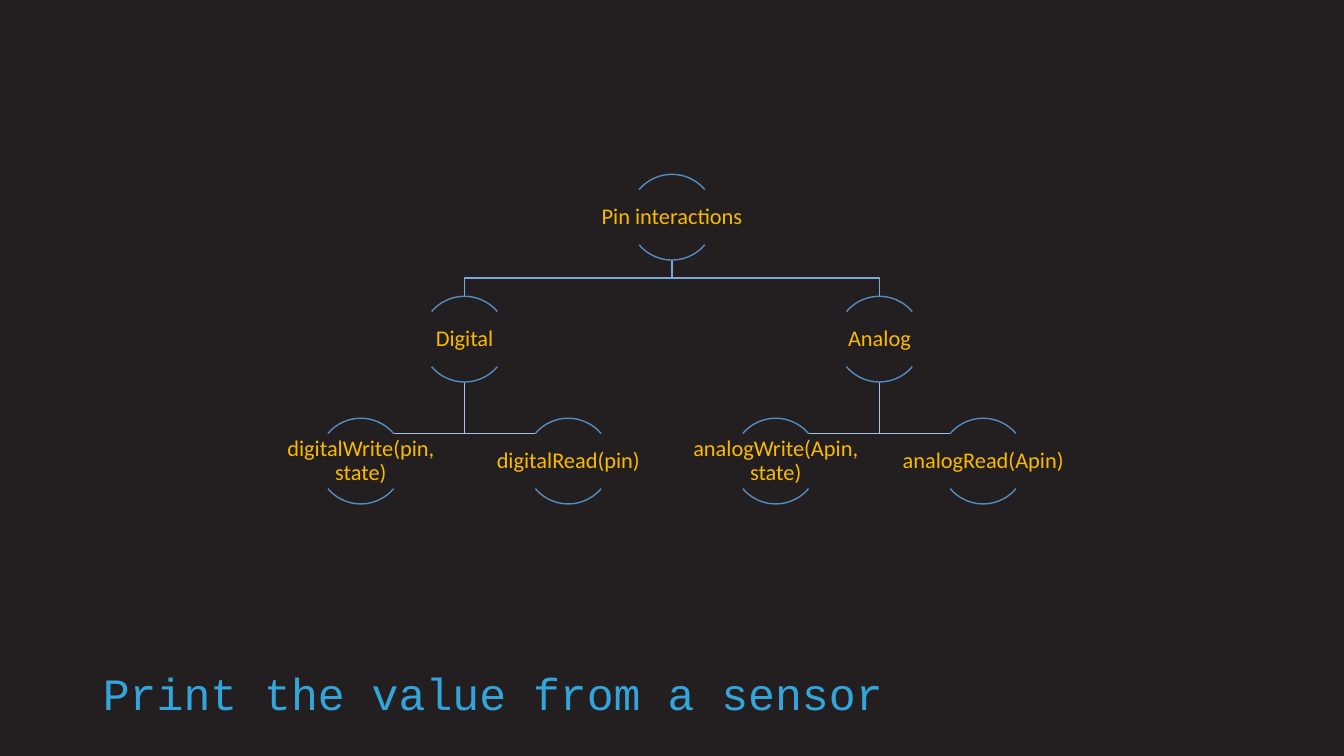
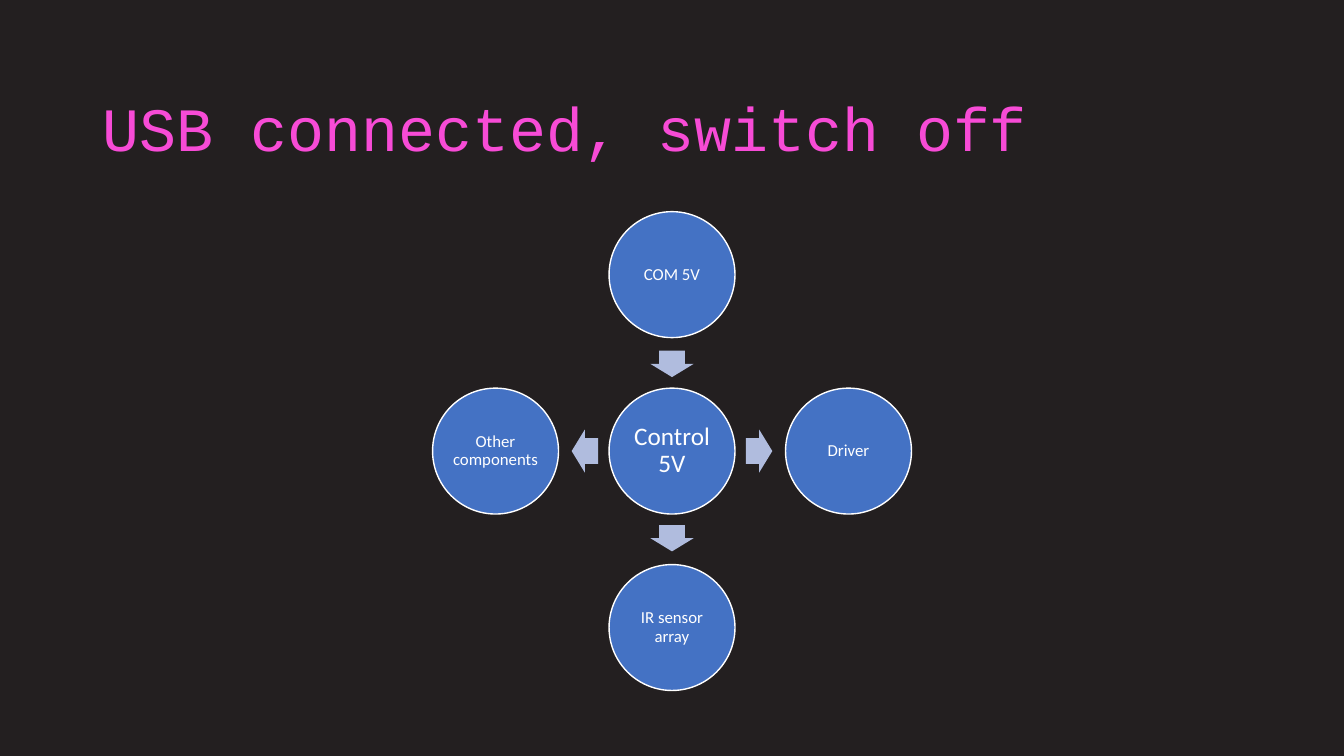
from dataclasses import dataclass
from math import cos, radians, sin

from pptx import Presentation
from pptx.dml.color import RGBColor
from pptx.enum.shapes import MSO_SHAPE
from pptx.enum.text import MSO_ANCHOR, MSO_AUTO_SIZE, PP_ALIGN
from pptx.util import Inches, Pt

BACKGROUND = RGBColor(0x23, 0x1F, 0x20)
TITLE_BLUE = RGBColor(0x33, 0xA5, 0xDB)
TITLE_PINK = RGBColor(0xF7, 0x4B, 0xD6)
AMBER = RGBColor(0xF9, 0xBA, 0x00)
ARC_BLUE = RGBColor(0x53, 0x8D, 0xC1)
BRANCH_BLUE = RGBColor(0x7A, 0xA9, 0xDA)
LEAF_BLUE = RGBColor(0xA5, 0xC0, 0xE3)
CIRCLE_BLUE = RGBColor(0x44, 0x72, 0xC4)
ARROW_BLUE = RGBColor(0xB0, 0xBC, 0xDE)
WHITE = RGBColor(0xFF, 0xFF, 0xFF)

TITLE_FONT = "Courier New"
BODY_FONT = "Calibri"
ARC = MSO_SHAPE.ARC
OVAL = MSO_SHAPE.OVAL
RIGHT_ARROW = MSO_SHAPE.RIGHT_ARROW
MIDDLE = MSO_ANCHOR.MIDDLE
NO_AUTOFIT = MSO_AUTO_SIZE.NONE
CENTER = PP_ALIGN.CENTER
LEFT = PP_ALIGN.LEFT

TITLE_ONLY = 5
ARC_ANGLE = 40
DEGREE = 0.6
TREE = (
    "Pin interactions",
    (
        ("Digital", ("digitalWrite(pin, state)", "digitalRead(pin)")),
        ("Analog", ("analogWrite(Apin, state)", "analogRead(Apin)")),
    ),
)
HUB = "Control 5V"
SPOKES = (
    ("COM 5V", 0, -1, 90),
    ("Driver", 1, 0, 0),
    ("IR sensor array", 0, 1, 90),
    ("Other components", -1, 0, 180),
)


@dataclass
class Box:
    """A rectangle in inches."""

    left: float
    top: float
    width: float
    height: float

    def emu(self):
        """Return the rectangle in slide units."""
        return [Inches(value) for value in (self.left, self.top, self.width, self.height)]


def centered(x, y, width, height):
    """Return the box of a given size around a centre."""
    return Box(x - width / 2, y - height / 2, width, height)


def write(shape, text, font_name, size, color, alignment=CENTER, inset=None):
    """Put one formatted run in the middle of a shape."""
    frame = shape.text_frame
    frame.word_wrap = True
    frame.auto_size = NO_AUTOFIT
    frame.vertical_anchor = MIDDLE
    if inset is not None:
        frame.margin_left = frame.margin_right = Inches(inset)
        frame.margin_top = frame.margin_bottom = Inches(inset)
    paragraph = frame.paragraphs[0]
    paragraph.alignment = alignment
    paragraph.line_spacing = 0.9
    run = paragraph.add_run()
    run.text = text
    run.font.name = font_name
    run.font.size = Pt(size)
    run.font.color.rgb = color


def style(shape, fill=None, line=None):
    """Set the fill and outline of a shape, without shadow."""
    shape.shadow.inherit = False
    if fill is None:
        shape.fill.background()
    else:
        shape.fill.solid()
        shape.fill.fore_color.rgb = fill
    if line is None:
        shape.line.fill.background()
    else:
        shape.line.color.rgb = line
        shape.line.width = Pt(1)


def add_titled_slide(presentation, title, top, size, color):
    """Add a title-only slide and format its title."""
    slide = presentation.slides.add_slide(presentation.slide_layouts[TITLE_ONLY])
    shape = slide.shapes.title
    shape.left, shape.top, shape.width, shape.height = Box(0.92, top, 11.5, 1.2).emu()
    write(shape, title, TITLE_FONT, size, color, LEFT)
    return slide


def add_polyline(slide, points, color):
    """Draw an open line through points."""
    start, *rest = [(Inches(x), Inches(y)) for x, y in points]
    builder = slide.shapes.build_freeform(*start)
    builder.add_line_segments(rest, close=False)
    style(builder.convert_to_shape(), line=color)


def add_node(slide, text, x, y, diameter):
    """Draw a label between an upper and a lower arc."""
    for start in (180 + ARC_ANGLE, ARC_ANGLE):
        arc = slide.shapes.add_shape(ARC, *centered(x, y, diameter, diameter).emu())
        arc.adjustments[0] = start * DEGREE
        arc.adjustments[1] = (start + 180 - 2 * ARC_ANGLE) * DEGREE
        style(arc, line=ARC_BLUE)
    label = slide.shapes.add_textbox(*centered(x, y, 2 * diameter, 0.64 * diameter).emu())
    write(label, text, BODY_FONT, 16, AMBER, inset=0.01)


def add_tree(slide, box, tree):
    """Draw a three-level tree with one column for each leaf."""
    root, branches = tree
    diameter = 0.26 * box.height
    radius = diameter / 2
    root_y, branch_y, leaf_y = [box.top + radius + 0.37 * box.height * row for row in range(3)]
    root_x = box.left + box.width / 2
    column = box.width / sum(len(leaves) for _, leaves in branches)
    bus_y = (root_y + branch_y) / 2
    join_y = leaf_y - radius * sin(radians(ARC_ANGLE))
    nodes = [(root, root_x, root_y)]
    leaf_x = box.left + column / 2
    for branch, leaves in branches:
        branch_x = leaf_x + column * (len(leaves) - 1) / 2
        nodes.append((branch, branch_x, branch_y))
        add_polyline(
            slide,
            [(root_x, root_y + radius), (root_x, bus_y), (branch_x, bus_y), (branch_x, branch_y - radius)],
            BRANCH_BLUE,
        )
        for leaf in leaves:
            side = 1 if leaf_x < branch_x else -1
            join_x = leaf_x + side * radius * cos(radians(ARC_ANGLE))
            add_polyline(
                slide,
                [(branch_x, branch_y + radius), (branch_x, join_y), (join_x, join_y)],
                LEAF_BLUE,
            )
            nodes.append((leaf, leaf_x, leaf_y))
            leaf_x += column
    for text, x, y in nodes:
        add_node(slide, text, x, y, diameter)


def add_circle(slide, text, x, y, diameter, size):
    """Draw a labelled circle."""
    circle = slide.shapes.add_shape(OVAL, *centered(x, y, diameter, diameter).emu())
    style(circle, CIRCLE_BLUE, WHITE)
    write(circle, text, BODY_FONT, size, WHITE, inset=0.02)


def add_hub(slide, box, hub, spokes):
    """Draw a hub circle with arrows and circles around it."""
    x, y = box.left + box.width / 2, box.top + box.height / 2
    side = box.width
    diameter = 0.263 * side
    reach = (side - diameter) / 2
    add_circle(slide, hub, x, y, diameter, 18)
    for text, across, down, rotation in spokes:
        gap = 0.182 * side
        arrow_box = centered(x + across * gap, y + down * gap, 0.055 * side, 0.09 * side)
        arrow = slide.shapes.add_shape(RIGHT_ARROW, *arrow_box.emu())
        arrow.adjustments[0] = 0.6
        arrow.adjustments[1] = 0.5
        arrow.rotation = rotation
        style(arrow, ARROW_BLUE)
        add_circle(slide, text, x + across * reach, y + down * reach, diameter, 12)


def main():
    """Build and save the presentation."""
    presentation = Presentation()
    presentation.slide_width = Inches(13.33)
    presentation.slide_height = Inches(7.5)
    background = presentation.slide_master.background.fill
    background.solid()
    background.fore_color.rgb = BACKGROUND

    slide = add_titled_slide(presentation, "Print the value from a sensor", 6.3, 32, TITLE_BLUE)
    add_tree(slide, Box(2.55, 1.73, 8.23, 3.27), TREE)

    slide = add_titled_slide(presentation, "USB connected, switch off", 0.71, 44, TITLE_PINK)
    add_hub(slide, Box(4.29, 2.1, 4.75, 4.75), HUB, SPOKES)

    presentation.save("out.pptx")


if __name__ == "__main__":
    main()
